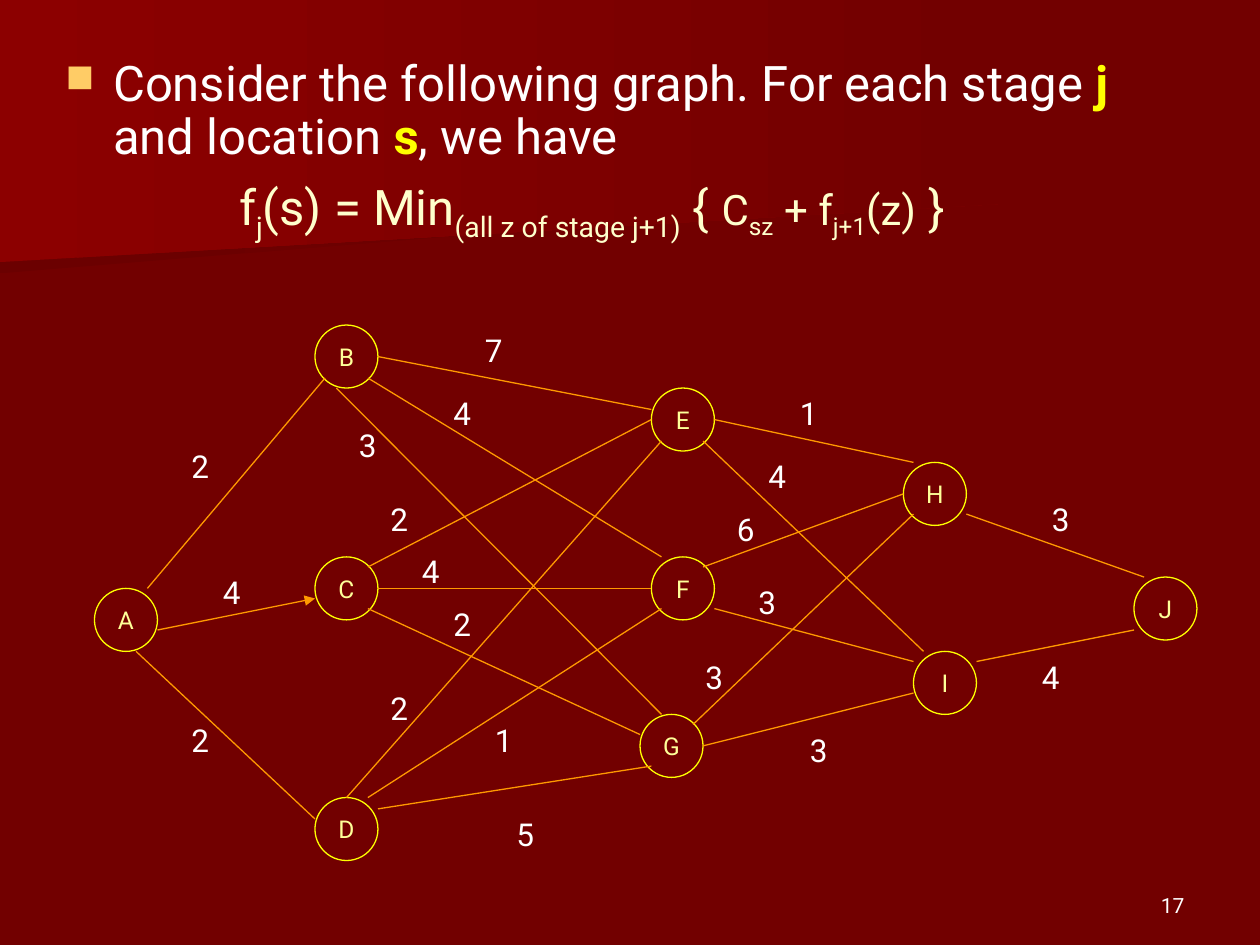
"""Build a slide showing a staged shortest-path graph and its recursion."""
from lxml.etree import SubElement
from pptx import Presentation
from pptx.dml.color import RGBColor
from pptx.enum.shapes import MSO_CONNECTOR, MSO_SHAPE
from pptx.enum.text import MSO_ANCHOR, PP_ALIGN
from pptx.oxml.ns import qn
from pptx.util import Inches, Pt

FONT = "Roboto"
WHITE, YELLOW, CREAM = "FFFFFF", "FFFF00", "FFFFCC"
BACKGROUND, NODE_TEXT, EDGE_COLOR, BULLET = "720000", "FFFF99", "FF9900", "FFCC66"
NODE_SIZE = 0.5

BANDS = [
    ("6B0000", [(7.78, 1.53), (0, 2.17), (0, 1.01), (7.79, 1.01), (7.78, 1.28)]),
    ("8C0000", [(7.92, 1.62), (0, 2.08), (0, 0), (7.92, 0)]),
]
INTRO = [
    ("Consider the following graph. For each stage", WHITE, False),
    (" j", YELLOW, True),
    (" and location ", WHITE, False),
    ("s", YELLOW, True),
    (", we have", WHITE, False),
]
FORMULA = [
    ("f", 28, False), ("j", 28, True), ("(s) = Min", 28, False),
    ("(all z of stage j+1)", 28, True), (" { ", 28, False),
    ("C", 24, False), ("sz", 24, True), (" + f", 24, False),
    ("j+1", 24, True), ("(z)", 24, False), (" }", 28, False),
]
NODES = {
    "A": (0.75, 4.67), "B": (2.5, 2.58), "C": (2.5, 4.42), "D": (2.5, 6.33),
    "E": (5.17, 3.08), "F": (5.17, 4.42), "G": (5.08, 5.67),
    "H": (7.17, 3.67), "I": (7.25, 5.17), "J": (9, 4.58),
}
EDGES = [
    ("AB", (1.17, 4.67), (2.58, 3), "2", (1.42, 3.5)),
    ("AC", (1.25, 5), (2.5, 4.75), "4", (1.67, 4.5)),
    ("AD", (1.08, 5.17), (2.5, 6.5), "2", (1.42, 5.67)),
    ("BE", (3, 2.83), (5.17, 3.25), "7", (3.75, 2.58)),
    ("BF", (2.92, 3), (5.25, 4.42), "4", (3.5, 3.08)),
    ("BG", (2.67, 3.08), (5.25, 5.67), "3", (2.75, 3.33)),
    ("CE", (2.92, 4.5), (5.17, 3.33), "2", (3, 3.92)),
    ("CF", (3, 4.67), (5.17, 4.67), "4", (3.25, 4.33)),
    ("CG", (2.92, 4.83), (5.08, 5.83), "2", (3.5, 4.75)),
    ("DE", (2.75, 6.33), (5.25, 3.5), "2", (3, 5.42)),
    ("DF", (2.92, 6.33), (5.25, 4.83), "1", (3.83, 5.67)),
    ("DG", (3, 6.42), (5.17, 6.08), "5", (4, 6.42)),
    ("EH", (5.67, 3.33), (7.25, 3.67), "1", (6.25, 3.08)),
    ("EI", (5.58, 3.5), (7.33, 5.17), "4", (6, 3.58)),
    ("FH", (5.58, 4.5), (7.17, 3.92), "6", (5.75, 4)),
    ("FI", (5.67, 4.83), (7.25, 5.25), "3", (5.92, 4.58)),
    ("GH", (5.5, 5.75), (7.25, 4.08), "3", (5.5, 5.17)),
    ("GI", (5.58, 5.92), (7.25, 5.5), "3", (6.33, 5.75)),
    ("HJ", (7.67, 4.08), (9.08, 4.58), "3", (8.25, 3.92)),
    ("IJ", (7.75, 5.25), (9, 5), "4", (8.17, 5.17)),
]
ARROW_EDGE = "AC"


def rgb(value):
    """Return a colour from a hex string."""
    return RGBColor.from_string(value)


def add_run(p, text, size, color, bold=False, subscript=False):
    """Append a formatted run to a paragraph."""
    r = p.add_run()
    r.text = text
    r.font.name, r.font.size, r.font.bold = FONT, Pt(size), bold
    r.font.color.rgb = rgb(color)
    if subscript:
        r.font._element.set("baseline", "-25000")


def add_text(s, box, text, size, align=PP_ALIGN.LEFT, anchor=MSO_ANCHOR.TOP, before=0):
    """Add a one-run white text box."""
    tf = s.shapes.add_textbox(*map(Inches, box)).text_frame
    tf.word_wrap, tf.vertical_anchor = True, anchor
    p = tf.paragraphs[0]
    p.alignment, p.space_before = align, Pt(before)
    add_run(p, text, size, WHITE)


def add_band(s, color, points):
    """Add a background band fading into the slide colour."""
    start, *rest = [tuple(map(Inches, point)) for point in points]
    builder = s.shapes.build_freeform(*start)
    builder.add_line_segments(rest, close=True)
    sp = builder.convert_to_shape()
    sp.shadow.inherit = False
    sp.line.fill.background()
    sp.fill.gradient()
    sp.fill.gradient_angle = 0
    for stop, value in zip(sp.fill.gradient_stops, (color, BACKGROUND)):
        stop.color.rgb = rgb(value)


def add_body(s):
    """Add the bulleted introduction and the recursion formula."""
    box = s.shapes.add_textbox(Inches(0.42), Inches(0.42), Inches(9), Inches(1.58))
    tf = box.text_frame
    tf.word_wrap = True
    intro, formula = tf.paragraphs[0], tf.add_paragraph()
    for p, margin, indent in ((intro, 0.38, -0.38), (formula, 1.38, 0)):
        p.line_spacing, p.space_before = 0.9, Pt(7)
        p_pr = p._p.get_or_add_pPr()
        p_pr.set("marL", str(Inches(margin)))
        p_pr.set("indent", str(Inches(indent)))
    p_pr = intro._p.get_or_add_pPr()
    SubElement(SubElement(p_pr, qn("a:buClr")), qn("a:srgbClr"), val=BULLET)
    SubElement(p_pr, qn("a:buSzPct"), val="80000")
    SubElement(p_pr, qn("a:buChar"), char="■")
    for text, color, bold in INTRO:
        add_run(intro, text, 28, color, bold)
    for text, size, subscript in FORMULA:
        add_run(formula, text, size, CREAM, subscript=subscript)


def add_node(s, name, left, top):
    """Add a circled node."""
    sp = s.shapes.add_shape(MSO_SHAPE.OVAL, *map(Inches, (left, top, NODE_SIZE, NODE_SIZE)))
    sp.shadow.inherit = False
    sp.fill.background()
    sp.line.color.rgb, sp.line.width = rgb(YELLOW), Pt(0.75)
    tf = sp.text_frame
    tf.word_wrap, tf.vertical_anchor = False, MSO_ANCHOR.MIDDLE
    p = tf.paragraphs[0]
    p.alignment, p.space_before = PP_ALIGN.CENTER, Pt(3.5)
    add_run(p, name, 14, NODE_TEXT)


def add_edge(s, start, end, arrow):
    """Add a line between two nodes, with an arrowhead if asked."""
    line = s.shapes.add_connector(MSO_CONNECTOR.STRAIGHT, *map(Inches, start + end))
    line.line.color.rgb, line.line.width = rgb(EDGE_COLOR), Pt(0.75)
    if arrow:
        SubElement(line.line._get_or_add_ln(), qn("a:tailEnd"), type="triangle")
    SubElement(line._element.spPr, qn("a:effectLst"))


def main():
    """Assemble and save the slide."""
    prs = Presentation()
    prs.slide_width, prs.slide_height = Inches(10), Inches(7.5)
    s = prs.slides.add_slide(prs.slide_layouts[6])
    s.background.fill.solid()
    s.background.fill.fore_color.rgb = rgb(BACKGROUND)
    for color, points in BANDS:
        add_band(s, color, points)
    add_text(s, (7.17, 6.83, 2.33, 0.5), "17", 12, PP_ALIGN.RIGHT, MSO_ANCHOR.BOTTOM)
    add_body(s)
    for name, (left, top) in NODES.items():
        add_node(s, name, left, top)
    for name, start, end, weight, label in EDGES:
        add_edge(s, start, end, name == ARROW_EDGE)
        add_text(s, (*label, 0.33, 0.42), weight, 18, before=4.5)
    prs.save("out.pptx")


if __name__ == "__main__":
    main()
